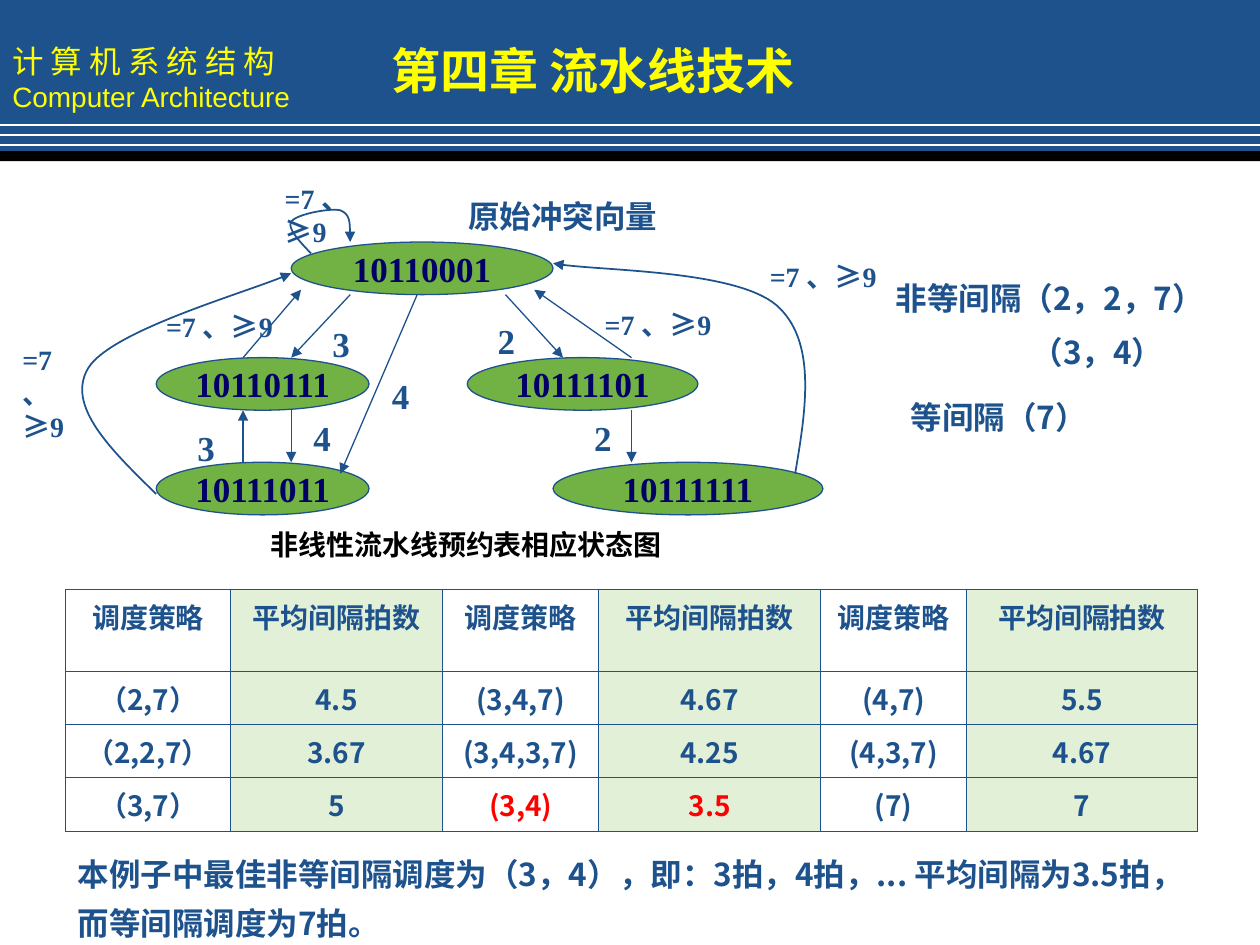
from lxml import etree
from pptx import Presentation
from pptx import util as u
from pptx.dml.color import RGBColor
from pptx.enum import lang, shapes, text
from pptx.oxml import ns

BLUE = RGBColor(0x1D, 0x52, 0x8D)
NAVY = RGBColor(0x00, 0x00, 0x66)
GREEN = RGBColor(0x72, 0xB1, 0x43)
PALE = RGBColor(0xE3, 0xF0, 0xD8)
YELLOW = RGBColor(0xFF, 0xFF, 0x00)
RED = RGBColor(0xFF, 0x00, 0x00)
WHITE = RGBColor(0xFF, 0xFF, 0xFF)
BLACK = RGBColor(0x00, 0x00, 0x00)
HAN, ROMAN, SANS = "Noto Sans CJK SC", "Times New Roman", "Arial"
LEFT, MID = text.PP_ALIGN.LEFT, text.PP_ALIGN.CENTER
COND = [("=7 、", ROMAN), ("≥", SANS), ("9", ROMAN)]


def add(node, tag, **attrs):
    """Append a drawing element to a node."""
    return etree.SubElement(node, ns.qn("a:" + tag), attrs)


def place(box, x, y, w, h):
    """Turn a part's place within a box into slide lengths."""
    return [u.Cm(v) for v in (box[0] + x, box[1] + y, w, h)]


def write(para, runs, size, color, bold=True, align=LEFT):
    """Add (wording, font) runs to a paragraph."""
    para.alignment = align
    for words, face in runs:
        run = para.add_run()
        run.text = words
        font = run.font
        font.size, font.bold, font.name = u.Pt(size), bold, face
        font.color.rgb = color
        font.language_id = lang.MSO_LANGUAGE_ID.SIMPLIFIED_CHINESE
        add(run._r.get_or_add_rPr(), "ea", typeface=HAN)


def label(tree, spot, runs, size, color=BLUE, wrap=True, space=None):
    """Add a text box that grows with its text."""
    frame = tree.add_textbox(*spot).text_frame
    frame.word_wrap = wrap
    frame.auto_size = text.MSO_AUTO_SIZE.SHAPE_TO_FIT_TEXT
    write(frame.paragraphs[0], runs, size, color)
    if space:
        frame.paragraphs[0].line_spacing = space


def solid(tree, kind, spot, fill, edge=None):
    """Add a filled preset shape without a shadow."""
    shape = tree.add_shape(kind, *spot)
    shape.shadow.inherit = False
    shape.fill.solid()
    shape.fill.fore_color.rgb = fill
    if edge:
        shape.line.color.rgb, shape.line.width = edge, u.Pt(0.75)
    else:
        shape.line.fill.background()
    frame = shape.text_frame
    frame.word_wrap = False
    frame.vertical_anchor = text.MSO_ANCHOR.MIDDLE
    return frame


def stroke(line, color, width, head=False):
    """Format a line, with an arrowhead at its end if asked."""
    line.color.rgb, line.width = color, u.Pt(width)
    if head:
        add(line._get_or_add_ln(), "tailEnd", type="triangle")


def link(tree, box, start, end, color=BLUE, width=0.75, head=True):
    """Add a straight line between two points of a box."""
    ends = [u.Cm(b + v) for point in (start, end) for b, v in zip(box, point)]
    line = tree.add_connector(shapes.MSO_CONNECTOR.STRAIGHT, *ends)
    add(line._element.spPr, "effectLst")
    stroke(line.line, color, width, head)


def curve(tree, box, points):
    """Add an arrow of cubic curves through a start and point triples."""
    spots = [(u.Cm(box[0] + x), u.Cm(box[1] + y)) for x, y in points]
    draft = tree.build_freeform(*spots[0])
    draft.add_line_segments(spots[1:], close=False)
    shape = draft.convert_to_shape()
    shape.shadow.inherit = False
    shape.fill.background()
    stroke(shape.line, BLUE, 1, True)
    trail = next(shape._element.iter(ns.qn("a:path")))
    legs = trail.findall(ns.qn("a:lnTo"))
    for i in range(0, len(legs), 3):
        bend = add(trail, "cubicBezTo")
        for leg in legs[i:i + 3]:
            bend.append(leg[0])
            trail.remove(leg)


def header(slide, box):
    """Draw the chapter band with its course name and title."""
    tree, rect = slide.shapes, shapes.MSO_SHAPE.RECTANGLE
    frame = solid(tree, rect, place(box, 0, 0, 25.4, 3.12), BLUE)
    write(frame.paragraphs[0], [("计 算 机 系 统 结 构", HAN)], 18, YELLOW, False)
    write(frame.add_paragraph(), [("Computer Architecture", SANS)], 16, YELLOW, False)
    solid(tree, rect, place(box, 0, 3.05, 25.4, 0.2), BLACK)
    for i in range(3):
        y = 2.52 + 0.2 * i
        link(tree, box, (0, y), (25.4, y), WHITE, 1, False)
    title = tree.title
    title.left, title.top, title.width, title.height = place(box, 7.19, 0.69, 9.53, 1.45)
    title.text_frame.vertical_anchor = text.MSO_ANCHOR.TOP
    write(title.text_frame.paragraphs[0], [("第四章 流水线技术", HAN)], 28, YELLOW, align=MID)
    tree._spTree.append(title._element)


def states(slide, box):
    """Draw the state diagram with its arrows and labels."""
    tree = slide.shapes.add_group_shape().shapes
    for x, y, w in [(5.49, 0.03, 2.54), (11.94, 2.57, 3.12), (3.1, 2.62, 3.4),
                    (15.27, 1.61, 2.74), (0.2, 3.28, 1.55)]:
        label(tree, place(box, x, y, w, 0.94 if w > 3 else 1.63), COND, 16)
    for code, x, y, w in [("10110001", 5.87, 1.38, 5.28), ("10110111", 3.15, 3.71, 4.29),
                          ("10111101", 9.42, 3.71, 4.65), ("10111111", 11.15, 5.82, 5.44),
                          ("10111011", 3.15, 5.82, 4.29)]:
        frame = solid(tree, shapes.MSO_SHAPE.OVAL, place(box, x, y, w, 1.06), GREEN, BLUE)
        write(frame.paragraphs[0], [(code, ROMAN)], 20, NAVY, align=MID)
    for start, end in [((8.41, 2.44), (6.86, 6.05)), ((10.19, 2.44), (11.35, 3.71)),
                       ((12.73, 4.77), (12.73, 5.82)), ((7.06, 2.44), (5.87, 3.71)),
                       ((5.87, 4.77), (5.87, 5.82)), ((4.9, 5.82), (4.9, 4.77)),
                       ((4.9, 3.71), (6.07, 2.34)), ((12.73, 3.71), (10.77, 2.34))]:
        link(tree, box, start, end)
    for beat, x, y in [("2", 9.78, 2.82), ("4", 7.65, 3.92), ("2", 11.73, 4.78),
                       ("3", 6.45, 2.88), ("3", 3.73, 4.98), ("4", 6.07, 4.78)]:
        label(tree, place(box, x, y, 0.9, 1.12), [(beat, ROMAN)], 20)
    curve(tree, box, [(16.03, 6.05), (16.26, 4.7), (16.46, 3.36), (15.65, 2.65),
                      (14.83, 1.96), (11.91, 1.96), (11.15, 1.81)])
    curve(tree, box, [(3.15, 6.46), (2.24, 5.57), (1.32, 4.68), (1.78, 3.92),
                      (2.24, 3.18), (5.16, 2.34), (5.87, 2.01)])
    curve(tree, box, [(6.27, 1.61), (6.02, 1.35), (5.79, 1.1), (5.87, 0.97), (5.97, 0.82),
                      (6.65, 0.69), (6.86, 0.74), (7.06, 0.82), (7.06, 1.1), (7.06, 1.38)])
    label(tree, place(box, 9.19, 0.34, 5.28, 1.02), [("原始冲突向量", HAN)], 18)
    label(slide.shapes, place(box, 5.21, 7.02, 10.77, 0.94),
          [("非线性流水线预约表相应状态图", HAN)], 16, BLACK)


def gaps(slide, box):
    """List the unequal and equal intervals."""
    for words, x, y, w, h in [("非等间隔（2，2，7）", 0, 0, 7.59, 1.78),
                              ("（3，4）", 2.74, 1.07, 3.89, 1.02),
                              ("等间隔（7）", 0.3, 2.39, 4.34, 1.02)]:
        label(slide.shapes, place(box, x, y, w, h), [(words, HAN)], 18, wrap=False)


def plans(slide, box):
    """Draw the table of scheduling plans and mean intervals."""
    rows = [["调度策略", "平均间隔拍数"] * 3,
            ["（2,7）", "4.5", "(3,4,7)", "4.67", "(4,7)", "5.5"],
            ["（2,2,7）", "3.67", "(3,4,3,7)", "4.25", "(4,3,7)", "4.67"],
            ["（3,7）", "5", "(3,4)", "3.5", "(7)", "7"]]
    wide, tall = [3.33, 4.27, 3.15, 4.47, 2.95, 4.65], [1.65, 1.07, 1.07, 1.07]
    spot = place(box, 0, 0, sum(wide), sum(tall))
    table = slide.shapes.add_table(len(rows), len(wide), *spot).table
    table.first_row = table.horz_banding = False
    for col, w in zip(table.columns, wide):
        col.width = u.Cm(w)
    for r, row in enumerate(rows):
        table.rows[r].height = u.Cm(tall[r])
        for c, words in enumerate(row):
            cell = table.cell(r, c)
            best = r == 3 and c in (2, 3)
            write(cell.text_frame.paragraphs[0], [(words, HAN)], 16,
                  RED if best else BLUE, align=MID)
            props = cell._tc.get_or_add_tcPr()
            for side in ("lnL", "lnR", "lnT", "lnB"):
                edge = add(props, side, w=str(u.Pt(0.45)))
                add(add(edge, "solidFill"), "srgbClr", val=str(BLUE))
            if c % 2:
                cell.fill.solid()
                cell.fill.fore_color.rgb = PALE
            else:
                cell.fill.background()


def note(slide, box):
    """Write the closing remark on the best plan."""
    words = "本例子中最佳非等间隔调度为（3，4），即：3拍，4拍，... 平均间隔为3.5拍，而等间隔调度为7拍。"
    label(slide.shapes, place(box, 0, 0, 23.06, 2.24), [(words, HAN)], 18, space=1.3)


def main():
    """Build the slide and save it."""
    deck = Presentation()
    deck.slide_width, deck.slide_height = u.Cm(25.4), u.Cm(19.05)
    slide = deck.slides.add_slide(deck.slide_layouts[5])
    header(slide, (0, 0))
    states(slide, (0, 3.5))
    gaps(slide, (17.81, 5.51))
    plans(slide, (1.32, 11.89))
    note(slide, (1.32, 16.89))
    deck.save("out.pptx")


if __name__ == "__main__":
    main()
